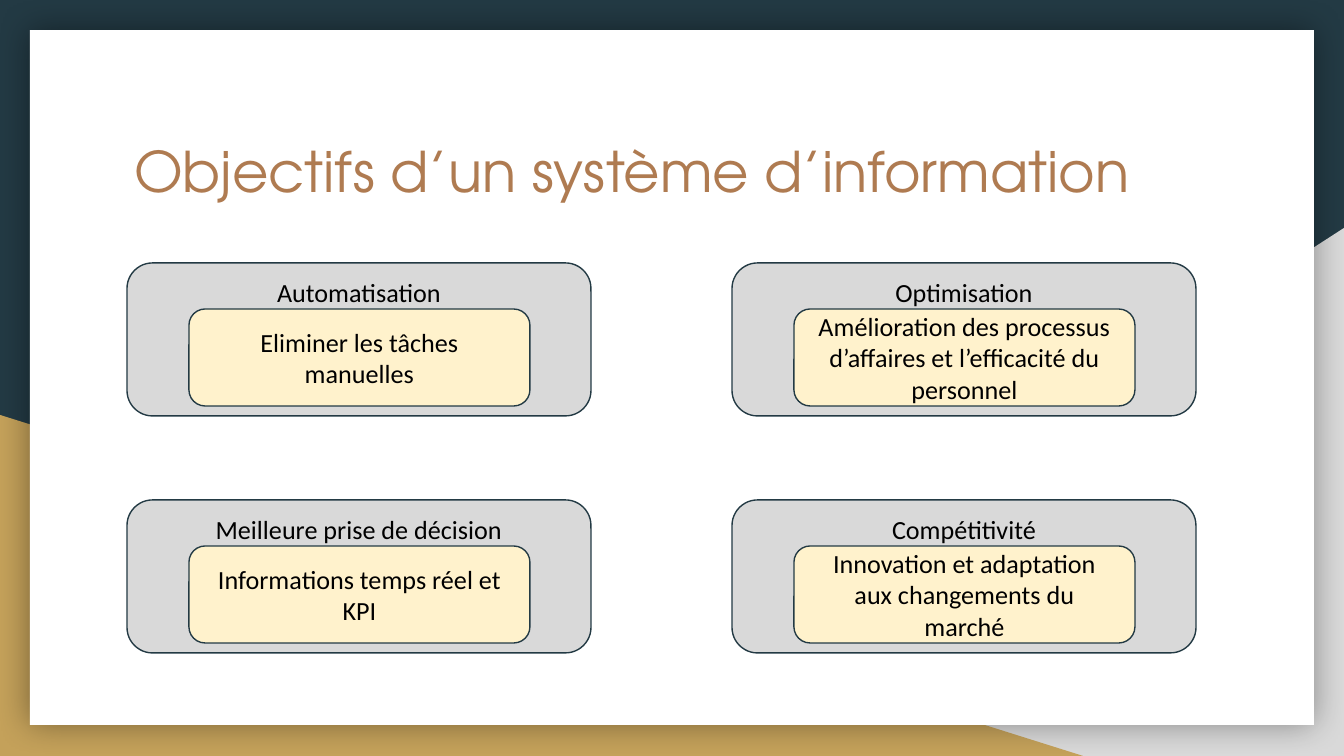
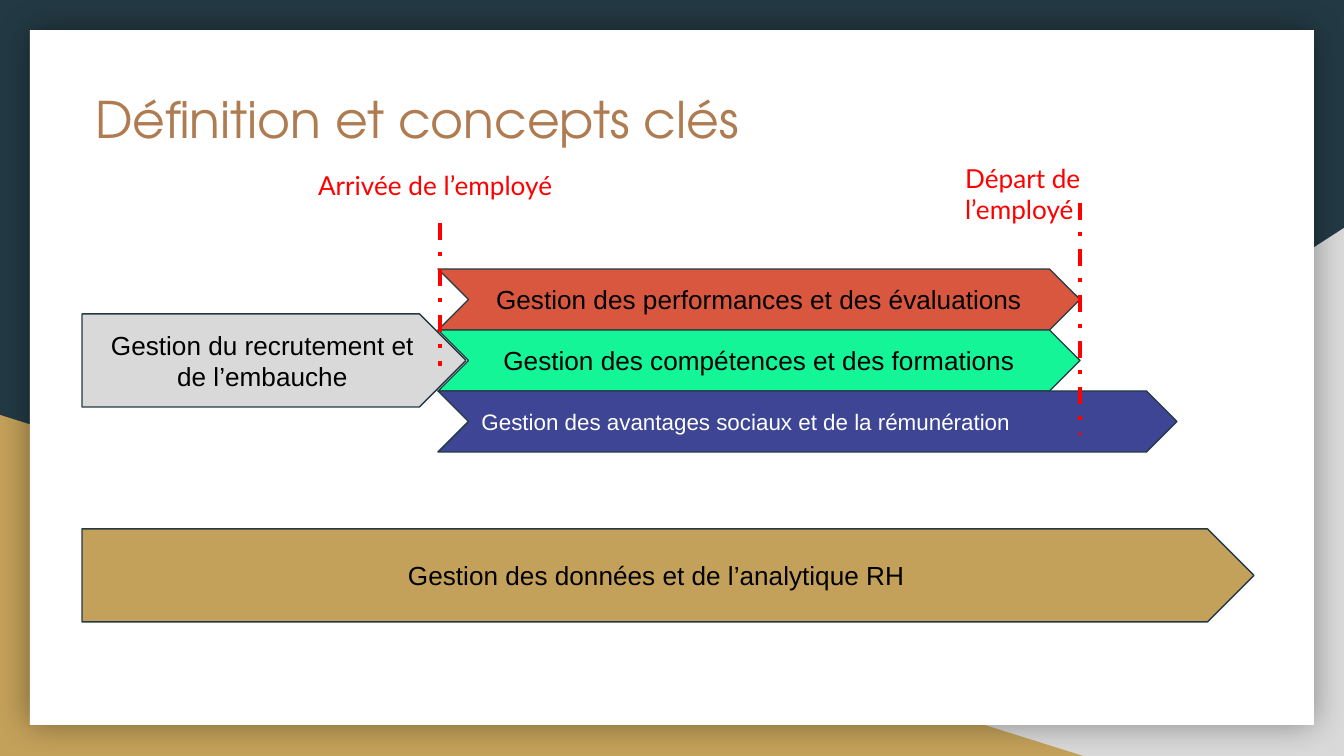
from lxml import etree
from pptx import Presentation
from pptx.dml.color import RGBColor
from pptx.enum import dml, shapes, text
from pptx.oxml import parse_xml
from pptx.oxml.ns import nsdecls, qn
from pptx.util import Pt

PX = 914400 / 134.4
INSET = 13
HEADING_INSET = 6
WIDTH, HEIGHT = 1344, 756

BLACK = RGBColor(0x00, 0x00, 0x00)
WHITE = RGBColor(0xFF, 0xFF, 0xFF)
NAVY = RGBColor(0x23, 0x3A, 0x44)
GREY = RGBColor(0xD9, 0xD9, 0xD9)
GOLD = RGBColor(0xC4, 0xA1, 0x5A)
BRONZE = RGBColor(0xAF, 0x7B, 0x51)
CREAM = RGBColor(0xFF, 0xF2, 0xCC)
CORAL = RGBColor(0xD9, 0x56, 0x3F)
GREEN = RGBColor(0x14, 0xF5, 0x97)
INDIGO = RGBColor(0x3D, 0x45, 0x94)
RED = RGBColor(0xFF, 0x00, 0x00)

SHAPE = shapes.MSO_SHAPE
ALIGN = text.PP_ALIGN
ANCHOR = text.MSO_ANCHOR

OBJECTIVES = [
    ("Automatisation", "Eliminer les tâches manuelles"),
    ("Optimisation", "Amélioration des processus d’affaires et l’efficacité du personnel"),
    ("Meilleure prise de décision", "Informations temps réel et KPI"),
    ("Compétitivité", "Innovation et adaptation aux changements du marché"),
]

# wording, fill, text colour, size, alignment, width
EMPLOYEE_PROCESSES = [
    ("Gestion des performances et des évaluations", CORAL, BLACK, 14, ALIGN.CENTER, 642),
    ("Gestion des compétences et des formations", GREEN, BLACK, 14, ALIGN.CENTER, 642),
    ("Gestion des avantages sociaux et de la rémunération", INDIGO, WHITE, 12, ALIGN.LEFT, 739),
]


def px(*lengths):
    return [round(n * PX) for n in lengths]


def write(sp, words, font, size, color, align=ALIGN.LEFT, anchor=ANCHOR.TOP, top=INSET):
    tf = sp.text_frame
    tf.word_wrap = True
    tf.auto_size = text.MSO_AUTO_SIZE.NONE
    tf.vertical_anchor = anchor
    tf.margin_left, tf.margin_top, tf.margin_right, tf.margin_bottom = px(
        INSET, top, INSET, INSET)
    p = tf.paragraphs[0]
    p.text = words
    p.alignment = align
    p.font.name, p.font.size = font, Pt(size)
    p.font.color.rgb = color


def add_block(slide, kind, box, fill, outlined=True):
    sp = slide.shapes.add_shape(kind, *px(*box))
    sp.shadow.inherit = False
    sp.fill.solid()
    sp.fill.fore_color.rgb = fill
    if outlined:
        sp.line.color.rgb = NAVY
        sp.line.width = Pt(0.75)
    else:
        sp.line.fill.background()
    return sp


def decorate_layout(layout, slide):
    """Build the shared backdrop on a slide, then move it behind the layout's title."""
    layout.background.fill.solid()
    layout.background.fill.fore_color.rgb = NAVY
    for ph in list(layout.placeholders):
        if ph.placeholder_format.type != shapes.PP_PLACEHOLDER.TITLE:
            ph.element.getparent().remove(ph.element)

    right = add_block(slide, SHAPE.RIGHT_TRIANGLE, (527, 228, 817, 528), GREY, False)
    right.element.spPr.find(qn("a:xfrm")).set("flipH", "1")
    left = add_block(slide, SHAPE.RIGHT_TRIANGLE, (0, 415, 1083, 341), GOLD, False)
    panel = add_block(slide, SHAPE.RECTANGLE, (30, 30, 1284, 695), WHITE, False)
    panel.element.spPr.find(qn("a:effectLst")).append(parse_xml(
        f'<a:outerShdw {nsdecls("a")} blurRad="{Pt(18)}" dist="0" dir="0" algn="ctr" '
        'rotWithShape="0"><a:srgbClr val="000000"><a:alpha val="40000"/></a:srgbClr>'
        '</a:outerShdw>'))
    for i, sp in enumerate((right, left, panel)):
        layout.shapes.element.insert(2 + i, sp.element)


def set_title(slide, words, x, y, size):
    title = slide.shapes.title
    title.left, title.top, title.width, title.height = px(x, y, 1103, 140)
    write(title, words, "TeX Gyre Adventor", size, BRONZE)


def add_card(slide, x, y, heading, detail):
    card = add_block(slide, SHAPE.ROUNDED_RECTANGLE, (x, y, 464, 153), GREY)
    write(card, heading, "Calibri", 14, BLACK, ALIGN.CENTER, top=HEADING_INSET)
    inner = add_block(slide, SHAPE.ROUNDED_RECTANGLE, (x + 62, y + 46, 341, 97), CREAM)
    write(inner, detail, "Calibri", 14, BLACK, ALIGN.CENTER, ANCHOR.MIDDLE)


def add_arrow(slide, kind, box, words, fill, color=BLACK, size=14, align=ALIGN.CENTER):
    arrow = add_block(slide, kind, box, fill)
    write(arrow, words, "Arial", size, color, align, ANCHOR.MIDDLE)


def add_milestone(slide, words, label_box, x, top, bottom):
    """Dash-dot vertical marker with its label."""
    line = slide.shapes.add_connector(shapes.MSO_CONNECTOR.STRAIGHT, *px(x, top, x, bottom))
    line.line.color.rgb = RED
    line.line.width = Pt(2.25)
    line.line.dash_style = dml.MSO_LINE.DASH_DOT
    etree.SubElement(line.element.spPr, qn("a:effectLst"))
    label = slide.shapes.add_textbox(*px(*label_box))
    write(label, words, "Lato", 14, RED)


def fill_objectives(slide):
    set_title(slide, "Objectifs d’un système d’information", 121, 124, 30)
    for i, (heading, detail) in enumerate(OBJECTIVES):
        row, col = divmod(i, 2)
        add_card(slide, 127 + 605 * col, 263 + 237 * row, heading, detail)


def fill_concepts(slide):
    set_title(slide, "Définition et concepts clés", 82, 75, 27)
    add_arrow(slide, SHAPE.PENTAGON, (82, 314, 384, 93),
              "Gestion du recrutement et de l’embauche", GREY)
    for i, (words, fill, color, size, align, width) in enumerate(EMPLOYEE_PROCESSES):
        add_arrow(slide, SHAPE.CHEVRON, (438, 269 + 61 * i, width, 61),
                  words, fill, color, size, align)
    add_arrow(slide, SHAPE.PENTAGON, (82, 529, 1172, 93),
              "Gestion des données et de l’analytique RH", GOLD)
    add_milestone(slide, "Départ de l’employé", (952, 149, 250, 59), 1080, 203, 435)
    add_milestone(slide, "Arrivée de l’employé", (305, 156, 270, 59), 440, 223, 366)


def main():
    prs = Presentation()
    prs.slide_width, prs.slide_height = px(WIDTH, HEIGHT)
    layout = prs.slide_layouts.get_by_name("Title Only")
    objectives, concepts = (prs.slides.add_slide(layout) for _ in range(2))
    decorate_layout(layout, objectives)
    fill_objectives(objectives)
    fill_concepts(concepts)
    prs.save("out.pptx")


if __name__ == "__main__":
    main()
